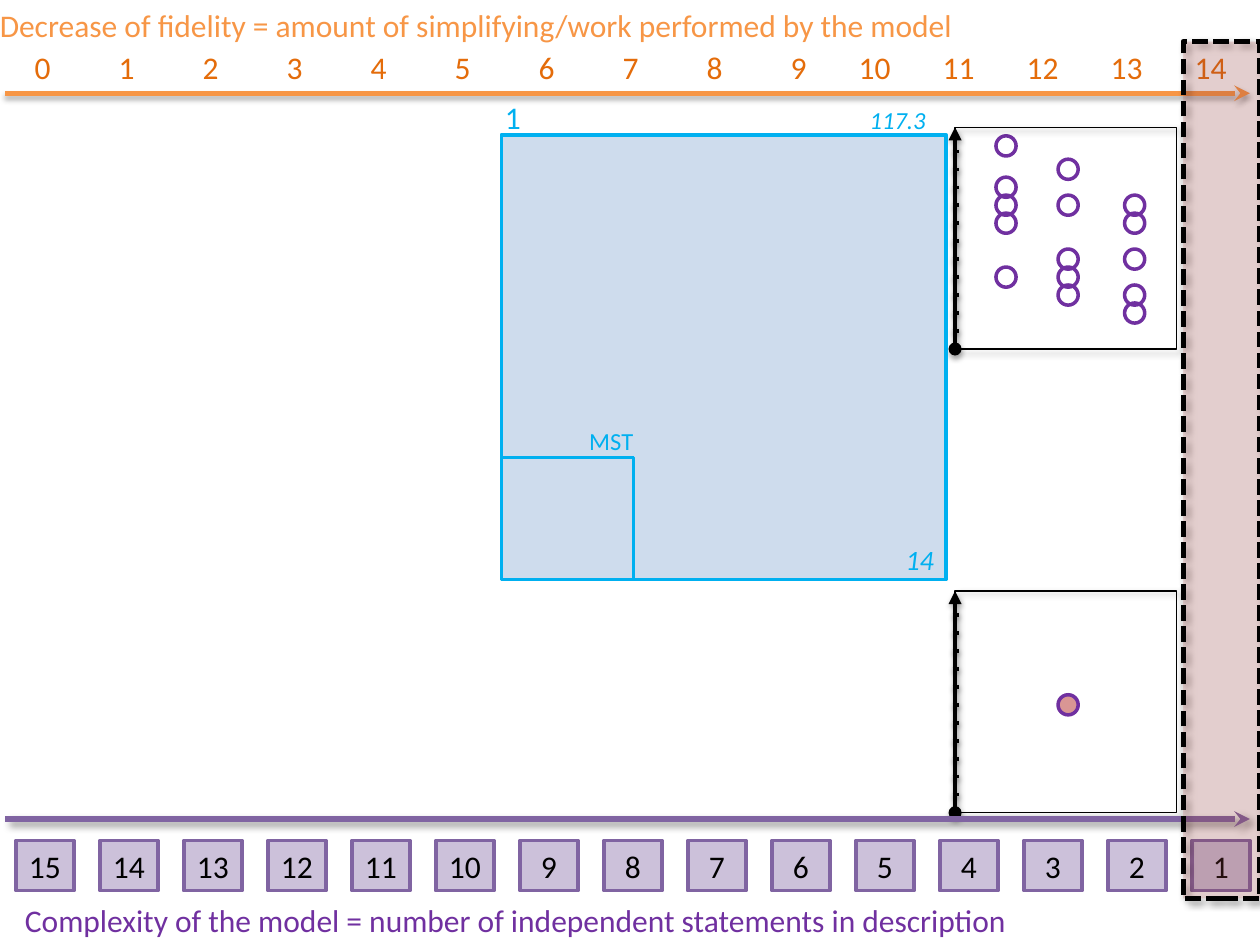
from dataclasses import dataclass
from lxml.etree import SubElement
from pptx import Presentation
from pptx.dml.color import RGBColor
from pptx.enum.dml import MSO_LINE
from pptx.enum.shapes import MSO_CONNECTOR, MSO_SHAPE
from pptx.enum.text import MSO_ANCHOR, PP_ALIGN
from pptx.oxml.ns import qn
from pptx.util import Inches, Pt


@dataclass(frozen=True)
class Theme:
    font: str = "Calibri"
    body: int = 18
    value: int = 16
    small: int = 14
    black: str = "000000"
    blue: str = "00B0F0"
    pale_blue: str = "B9CDE5"
    purple: str = "7030A0"
    violet: str = "8064A2"
    pale_violet: str = "CCC1DA"
    orange: str = "F79646"
    dark_orange: str = "E46C0A"
    red: str = "C0504D"
    pink: str = "D99694"
    line_shadow: tuple = (35, 3.1, 1.8, 90)
    tick_shadow: tuple = (38, 3.1, 1.6, 90)
    box_shadow: tuple = (40, 4, 3, 45)


@dataclass(frozen=True)
class Box:
    x: float
    y: float
    w: float
    h: float

    def cell(self, x, y, w, h, cols=1, rows=1):
        cw, rh = self.w / cols, self.h / rows
        return Box(self.x + x * cw, self.y + y * rh, w * cw, h * rh)

    def emu(self):
        return [Inches(v) for v in (self.x, self.y, self.w, self.h)]


T = Theme()
PAGE = Box(0, 0, 10, 7.5)
STEPS = 15
LEVELS = 12.34
FIT_LEVELS = ((0.23, (4, 8, 9, 7, 11.3)),
              (0.51, (3, 4, 8, 10, 5)),
              (0.81, (5, 8, 3, 7, 2)))


def on_page(x, y, w, h):
    return PAGE.cell(x, y, w, h, cols=100, rows=75)


def add_effects(sp, shadow):
    effects = SubElement(sp.element.spPr, qn("a:effectLst"))
    if shadow:
        alpha, blur, dist, angle = shadow
        outer = SubElement(effects, qn("a:outerShdw"), blurRad=str(Pt(blur)),
                           dist=str(Pt(dist)), dir=str(angle * 60000), rotWithShape="0")
        clr = SubElement(outer, qn("a:srgbClr"), val=T.black)
        SubElement(clr, qn("a:alpha"), val=str(alpha * 1000))


def write(sp, text, size=T.body, color=T.black, italic=False,
          align=PP_ALIGN.LEFT, anchor=MSO_ANCHOR.TOP):
    tf = sp.text_frame
    tf.word_wrap = True
    tf.vertical_anchor = anchor
    p = tf.paragraphs[0]
    p.alignment = align
    r = p.add_run()
    r.text = text
    r.font.name, r.font.size, r.font.italic = T.font, Pt(size), italic
    r.font.color.rgb = RGBColor.from_string(color)


def label(s, box, text, **fmt):
    write(s.shapes.add_textbox(*box.emu()), text, **fmt)


def shape(s, box, line, width=2, kind=MSO_SHAPE.RECTANGLE, fill=None,
          alpha=None, dash=None, shadow=None):
    sp = s.shapes.add_shape(kind, *box.emu())
    if fill:
        sp.fill.solid()
        sp.fill.fore_color.rgb = RGBColor.from_string(fill)
        if alpha:
            clr = sp.element.spPr.find(qn("a:solidFill"))[0]
            SubElement(clr, qn("a:alpha"), val=str(alpha * 1000))
    else:
        sp.fill.background()
    sp.line.color.rgb = RGBColor.from_string(line)
    sp.line.width = Pt(width)
    if dash:
        sp.line.dash_style = dash
    add_effects(sp, shadow)
    return sp


def rule(s, x1, y1, x2, y2, color, width, shadow, head=None, tail=None):
    sp = s.shapes.add_connector(MSO_CONNECTOR.STRAIGHT,
                                *(Inches(v) for v in (x1, y1, x2, y2)))
    sp.line.color.rgb = RGBColor.from_string(color)
    sp.line.width = Pt(width)
    ln = sp.element.spPr.find(qn("a:ln"))
    for tag, end in (("a:headEnd", head), ("a:tailEnd", tail)):
        if end:
            SubElement(ln, qn(tag), type=end)
    add_effects(sp, shadow)


def fit_panel(s, box, columns, fill=None):
    row = box.h / LEVELS
    bottom = box.y + box.h
    rule(s, box.x, bottom, box.x, box.y, T.black, 2.5, T.line_shadow, "oval", "triangle")
    for level in range(1, 12):
        y = bottom - level * row
        rule(s, box.x - 0.02, y, box.x + 0.03, y, T.black, 2, T.tick_shadow)
    d = 0.16
    for share, levels in columns:
        for level in levels:
            dot = Box(box.x + share * box.w - d / 2, bottom - level * row - d / 2, d, d)
            shape(s, dot, T.purple, kind=MSO_SHAPE.OVAL, fill=fill)
    shape(s, box, T.black, width=0.75, shadow=T.box_shadow)


def blue_square(s, box):
    shape(s, box, T.blue, fill=T.pale_blue, alpha=69)
    label(s, box.cell(0.8, -0.08, 0.22, 0.08), "117.3", size=T.small, color=T.blue, italic=True)
    label(s, box.cell(0.8, 0.91, 0.2, 0.09), "14", size=T.value, color=T.blue, italic=True,
          align=PP_ALIGN.RIGHT, anchor=MSO_ANCHOR.MIDDLE)
    label(s, box.cell(-0.02, -0.11, 0.47, 0.14), "1", color=T.blue, anchor=MSO_ANCHOR.MIDDLE)


def mst_square(s, box):
    for dash in (None, MSO_LINE.SQUARE_DOT):
        shape(s, box, T.blue, dash=dash)
    label(s, box.cell(0.57, -0.31, 0.72, 0.27), "MST", size=T.small, color=T.blue)


def fidelity_axis(s, box):
    for i in range(STEPS):
        label(s, box.cell(i + 0.06, 0.45, 0.69, 0.53, cols=STEPS), str(i),
              color=T.dark_orange, align=PP_ALIGN.RIGHT)
    label(s, box.cell(-0.01, 0, 0.83, 0.53),
          "Decrease of fidelity = amount of simplifying/work performed by the model",
          color=T.orange)
    y = box.y + box.h
    rule(s, 0.04, y, box.w - 0.08, y, T.orange, 3, T.line_shadow, tail="stealth")


def complexity_axis(s, box):
    for i in range(STEPS):
        sp = shape(s, box.cell(i + 0.19, 0.17, 0.69, 0.4, cols=STEPS), T.violet,
                   fill=T.pale_violet)
        write(sp, str(STEPS - i), align=PP_ALIGN.CENTER)
    rule(s, 0.04, box.y, box.w - 0.08, box.y, T.violet, 3, T.box_shadow, tail="stealth")
    label(s, box.cell(0.01, 0.6, 0.82, 0.4),
          "Complexity of the model = number of independent statements in description",
          color=T.purple)


def main():
    prs = Presentation()
    prs.slide_width, prs.slide_height = Inches(PAGE.w), Inches(PAGE.h)
    s = prs.slides.add_slide(prs.slide_layouts[6])
    fit_panel(s, on_page(75.8, 10.1, 17.6, 17.6), FIT_LEVELS)
    fit_panel(s, on_page(75.8, 46.9, 17.6, 17.6), ((0.51, (6,)),), fill=T.pink)
    blue_square(s, on_page(39.8, 10.7, 35.3, 35.3))
    complexity_axis(s, on_page(0, 65, 100, 10))
    fidelity_axis(s, on_page(0, 0, 100, 7.4))
    shape(s, on_page(93.9, 3.3, 6.1, 68), T.black, width=3, fill=T.red, alpha=19,
          dash=MSO_LINE.SQUARE_DOT, shadow=T.box_shadow)
    mst_square(s, on_page(39.8, 36.3, 10.5, 9.7))
    prs.save("out.pptx")


if __name__ == "__main__":
    main()
